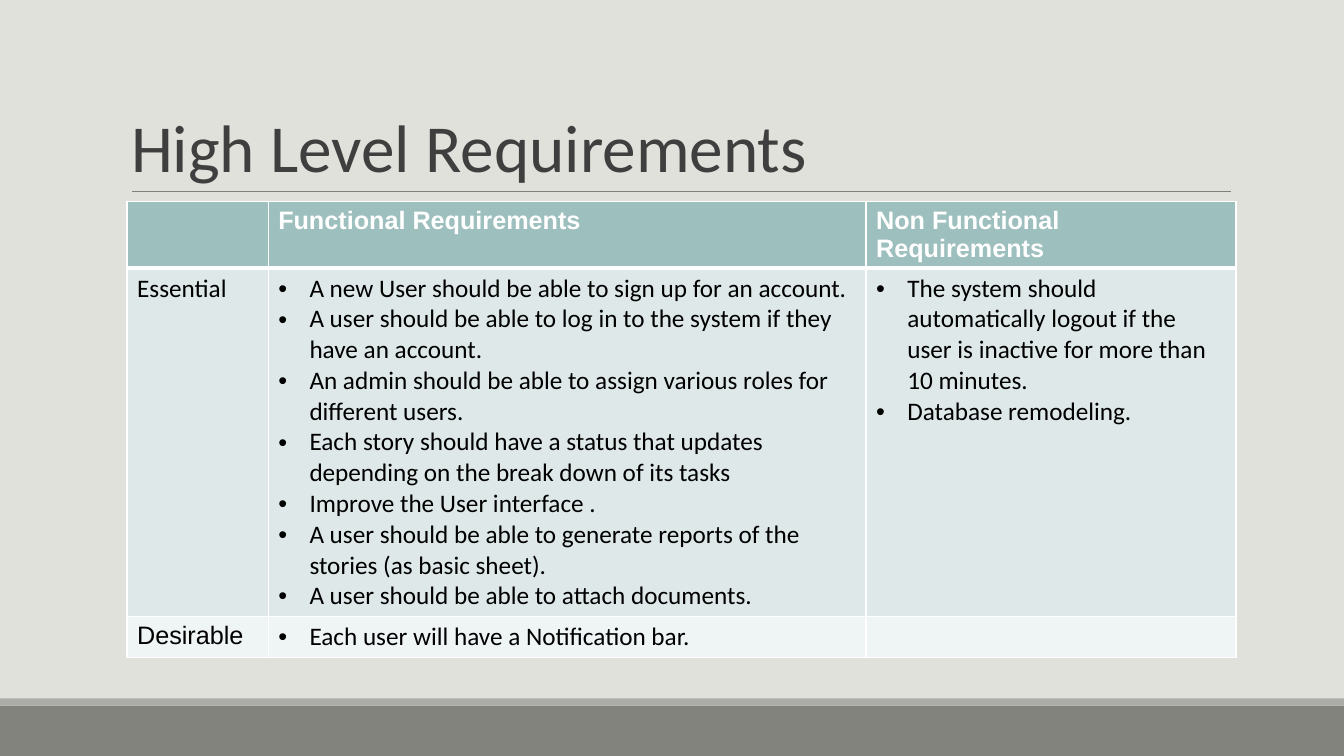
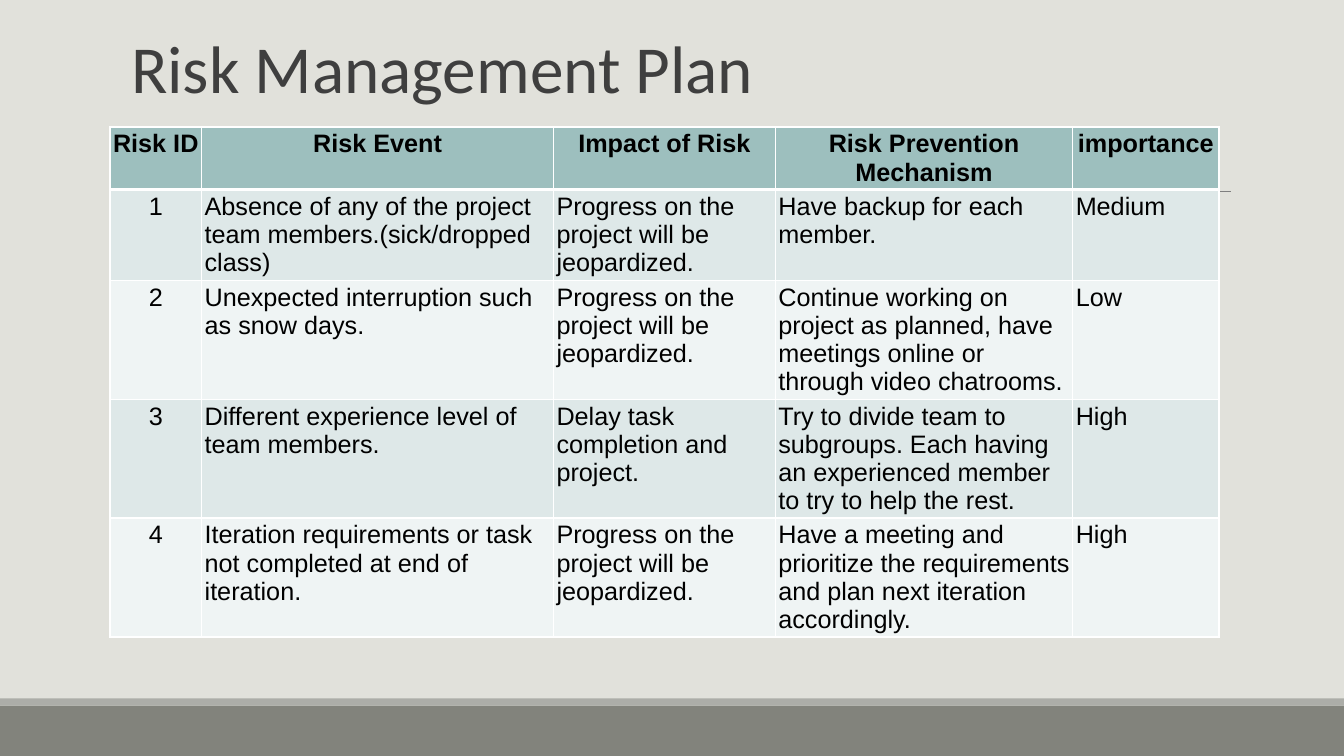
from dataclasses import dataclass
from pptx import Presentation
from pptx.dml.color import RGBColor
from pptx.enum.shapes import MSO_CONNECTOR, MSO_SHAPE
from pptx.enum.text import MSO_ANCHOR, MSO_AUTO_SIZE, PP_ALIGN
from pptx.oxml.xmlchemy import OxmlElement
from pptx.util import Inches, Pt

PAPER = RGBColor(0xE1, 0xE1, 0xDB)
BAND = RGBColor(0x82, 0x83, 0x7C)
STRIP = RGBColor(0xAC, 0xAD, 0xA8)
RULE = RGBColor(0x7F, 0x7F, 0x7F)
TITLE = RGBColor(0x3F, 0x3F, 0x3F)
HEAD = RGBColor(0x9D, 0xBF, 0xBE)
DARK = RGBColor(0xDE, 0xE8, 0xE8)
LIGHT = RGBColor(0xEF, 0xF4, 0xF4)
WHITE = RGBColor(0xFF, 0xFF, 0xFF)
BLACK = RGBColor(0, 0, 0)
SANS = "Arial"
HUMAN = "Calibri"


@dataclass
class Entry:
    lines: tuple = ()
    font: str = SANS
    color: RGBColor = BLACK
    bold: bool = False
    align: PP_ALIGN = PP_ALIGN.LEFT
    bullet: bool = False


def label(text, **style):
    return Entry((text,), **style)


def bullets(*lines):
    return Entry(lines, font=HUMAN, bullet=True)


def add_run(para, text, font, size, color, bold=False):
    run = para.add_run()
    run.text = text
    run.font.name = font
    run.font.size = Pt(size)
    run.font.bold = bold
    run.font.color.rgb = color


def child(parent, tag, **attrs):
    node = OxmlElement(tag)
    for key, value in attrs.items():
        node.set(key, str(value))
    parent.append(node)
    return node


def add_band(slide, top, height, color):
    band = slide.shapes.add_shape(
        MSO_SHAPE.RECTANGLE, 0, Inches(top), Inches(13.33), Inches(height))
    band.shadow.inherit = False
    band.fill.solid()
    band.fill.fore_color.rgb = color
    band.line.fill.background()
    return band


def add_rule(slide):
    rule = slide.shapes.add_connector(
        MSO_CONNECTOR.STRAIGHT, Inches(1.31), Inches(1.9), Inches(12.21), Inches(1.9))
    rule.line.color.rgb = RULE
    rule.line.width = Pt(0.75)
    child(rule.element.spPr, "a:effectLst")
    return rule


def set_layout(layout, slide):
    layout.background.fill.solid()
    layout.background.fill.fore_color.rgb = PAPER
    title = layout.placeholders[0]
    title.left, title.top = Inches(1.2), Inches(0.31)
    title.width, title.height = Inches(11), Inches(1.59)
    title.text_frame.vertical_anchor = MSO_ANCHOR.BOTTOM
    title.text_frame.auto_size = MSO_AUTO_SIZE.NONE
    parts = (add_band(slide, 7, 0.5, BAND), add_band(slide, 6.93, 0.07, STRIP),
             add_rule(slide))
    for spot, part in enumerate(parts, 2):
        layout.shapes.element.insert(spot, part.element)


def set_title(slide, text, lift=0):
    frame = slide.shapes.title.text_frame
    frame.margin_bottom = Inches(0.05 + lift)
    para = frame.paragraphs[0]
    para.alignment = PP_ALIGN.LEFT
    para.line_spacing = 0.85
    add_run(para, text, HUMAN, 48, TITLE)


def set_bullet(para):
    props = para._p.get_or_add_pPr()
    props.set("marL", str(Inches(0.31)))
    props.set("indent", str(-Inches(0.31)))
    tint = child(props, "a:buClr")
    child(tint, "a:srgbClr", val=BLACK)
    child(props, "a:buFont", typeface=SANS)
    child(props, "a:buChar", char="•")


def set_borders(cell, row):
    props = cell._tc.get_or_add_tcPr()
    widths = {"L": 1, "R": 1, "T": 3 if row == 1 else 1, "B": 3 if row == 0 else 1}
    for side, width in widths.items():
        line = child(props, f"a:ln{side}", w=Pt(width))
        fill = child(line, "a:solidFill")
        child(fill, "a:srgbClr", val=WHITE)


def fill_cell(cell, entry, row, pads):
    set_borders(cell, row)
    cell.fill.solid()
    cell.fill.fore_color.rgb = HEAD if row == 0 else DARK if row % 2 else LIGHT
    cell.margin_left = cell.margin_right = Inches(pads[0])
    cell.margin_top = cell.margin_bottom = Inches(pads[1])
    frame = cell.text_frame
    for index, text in enumerate(entry.lines):
        para = frame.add_paragraph() if index else frame.paragraphs[0]
        para.alignment = entry.align
        if entry.bullet:
            set_bullet(para)
        add_run(para, text, entry.font, 18, entry.color, entry.bold)


def add_grid(slide, left, top, widths, heights, rows, pads):
    grid = slide.shapes.add_table(
        len(rows), len(widths), Inches(left), Inches(top),
        Inches(sum(widths)), Inches(sum(heights))).table
    for column, width in zip(grid.columns, widths):
        column.width = Inches(width)
    for line, height in zip(grid.rows, heights):
        line.height = Inches(height)
    for row, entries in enumerate(rows):
        for col, entry in enumerate(entries):
            fill_cell(grid.cell(row, col), entry, row, pads)


def add_needs(slide):
    set_title(slide, "High Level Requirements")
    rows = [
        [Entry(),
         label("Functional Requirements", color=WHITE, bold=True),
         label("Non Functional Requirements", color=WHITE, bold=True)],
        [label("Essential", font=HUMAN),
         bullets("A new User should be able to sign up for an account.",
                 "A user should be able to log in to the system if they have an account. ",
                 "An admin should be able to assign various roles for different users. ",
                 "Each story should have a status that updates depending on the "
                 "break down of its tasks",
                 "Improve the User interface .",
                 "A user should be able to generate reports of the stories (as basic sheet).",
                 "A user should be able to attach documents."),
         bullets("The system should automatically logout if the user is inactive "
                 "for more than 10 minutes.",
                 "Database remodeling.")],
        [label("Desirable"), bullets("Each user will have a Notification bar."), Entry()],
    ]
    add_grid(slide, 1.26, 2, (1.4, 5.93, 3.67), (0.66, 3.45, 0.41), rows, (0.1, 0.05))


def add_risks(slide):
    set_title(slide, "Risk Management Plan", lift=0.79)
    heads = ("Risk ID", "Risk Event", "Impact of Risk",
             "Risk Prevention Mechanism", "importance")
    stall = "Progress on the project will be jeopardized."
    risks = [
        ("Absence of any of the project team members.(sick/dropped class)", stall,
         "Have backup for each member.", "Medium"),
        ("Unexpected interruption such as snow days.", stall,
         "Continue working on project as planned, have meetings online or "
         "through video chatrooms.", "Low"),
        ("Different experience level of team members.",
         "Delay task completion and project.",
         "Try to divide team to subgroups. Each having an experienced member "
         "to try to help the rest.", "High"),
        ("Iteration requirements or task not completed at end of iteration.", stall,
         "Have a meeting and prioritize the requirements and plan next "
         "iteration accordingly.", "High"),
    ]
    rows = [[label(head, bold=True, align=PP_ALIGN.CENTER) for head in heads]]
    for number, risk in enumerate(risks, 1):
        rows.append([label(str(number), align=PP_ALIGN.CENTER), *map(label, risk)])
    add_grid(slide, 1.09, 1.26, (0.91, 3.49, 2.2, 2.95, 1.45),
             (0.62, 0.9, 1.18, 1.18, 1.18), rows, (0.03, 0.03))


def main():
    deck = Presentation()
    deck.slide_width, deck.slide_height = Inches(13.33), Inches(7.5)
    layout = deck.slide_layouts[5]
    first, second = (deck.slides.add_slide(layout) for _ in range(2))
    set_layout(layout, first)
    add_needs(first)
    add_risks(second)
    deck.save("out.pptx")


main()
